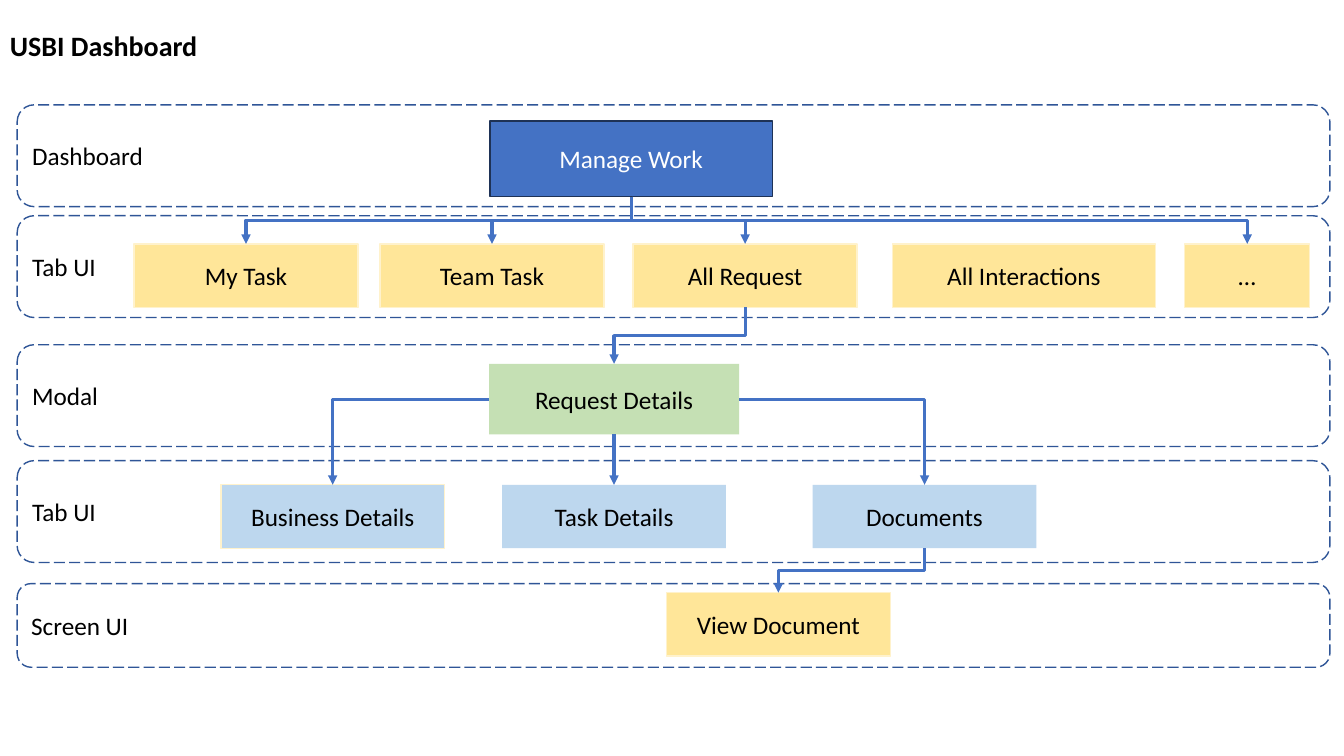
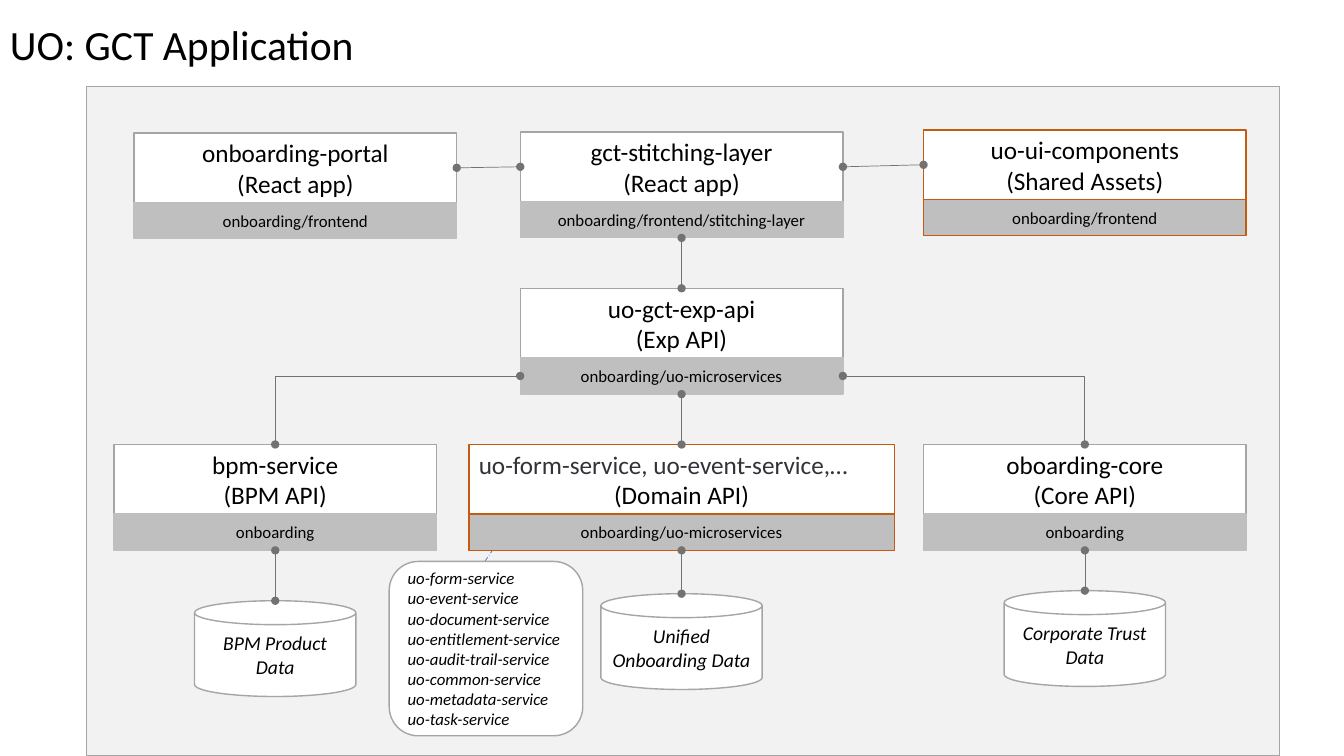
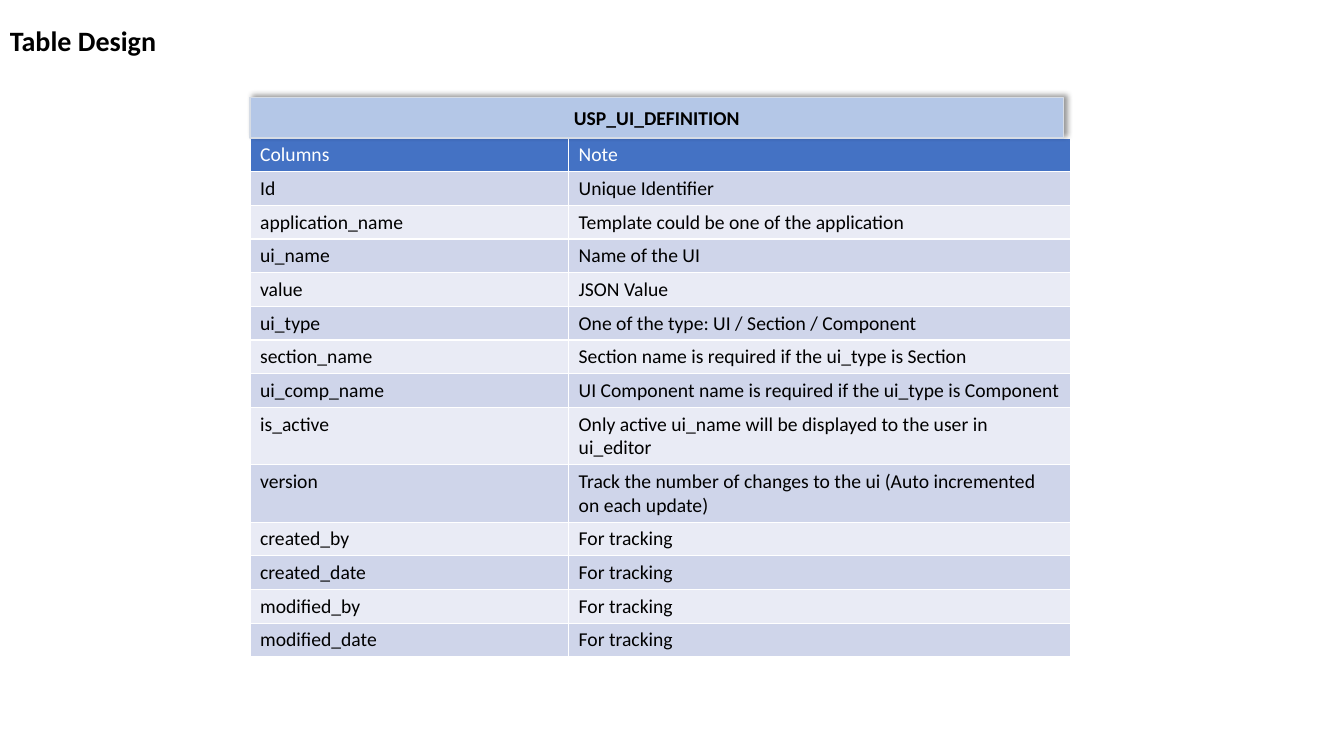
import dataclasses

import lxml.etree
import pptx
import pptx.dml.color
import pptx.enum.dml
import pptx.enum.shapes
import pptx.enum.text
import pptx.oxml.ns
import pptx.util

EMU_PER_PX = 9144
SHAPE = pptx.enum.shapes.MSO_SHAPE
CONNECTOR = pptx.enum.shapes.MSO_CONNECTOR
ALIGN = pptx.enum.text.PP_ALIGN
DASH = pptx.enum.dml.MSO_LINE
TOP, LEFT, BOTTOM, RIGHT = range(4)


@dataclasses.dataclass(frozen=True)
class Theme:
    """Colours and type sizes of the presentation."""
    font: str = "Calibri"
    black: str = "000000"
    white: str = "FFFFFF"
    band_line: str = "2F5597"
    blue: str = "4472C4"
    blue_edge: str = "1E3256"
    yellow: str = "FFE699"
    yellow_edge: str = "FFF2CC"
    green: str = "C5E0B4"
    sky: str = "BDD7EE"
    panel: str = "F2F2F2"
    grey_edge: str = "A5A5A5"
    bar: str = "BFBFBF"
    orange: str = "C55A11"
    wire: str = "767171"
    charcoal: str = "333238"
    caption: str = "B4C7E7"
    caption_edge: str = "D6DCE5"
    odd_row: str = "CFD5EA"
    even_row: str = "E9EBF5"
    large_title: float = 29.7
    title: float = 20
    body: float = 18
    cell: float = 14
    small: float = 12


THEME = Theme()


@dataclasses.dataclass(frozen=True)
class Box:
    """A rectangle in px."""
    left: int
    top: int
    width: int
    height: int

    def inside(self, left, top, width, height):
        """Return a box offset from this one's corner."""
        return Box(self.left + left, self.top + top, width, height)

    def emu(self):
        """Return left, top, width and height in EMU."""
        return [px(value) for value in dataclasses.astuple(self)]


PAGE = Box(0, 0, 1333, 750)


def px(value):
    """Turn px into EMU."""
    return pptx.util.Emu(round(value * EMU_PER_PX))


def rgb(colour):
    """Turn a hex colour into an RGB colour."""
    return pptx.dml.color.RGBColor.from_string(colour)


def xml_child(parent, tag, **attributes):
    """Append a drawing element and return it."""
    return lxml.etree.SubElement(parent, pptx.oxml.ns.qn(tag), attributes)


def style_text(paragraph, size, colour=THEME.black, align=ALIGN.LEFT, bold=False, italic=False):
    """Set the font and alignment of a paragraph."""
    paragraph.alignment = align
    font = paragraph.font
    font.name, font.size = THEME.font, pptx.util.Pt(size)
    font.bold, font.italic = bold, italic
    font.color.rgb = rgb(colour)


def write(frame, lines, size, **style):
    """Write one styled paragraph for each line."""
    frame.word_wrap = True
    for index, line in enumerate(lines):
        paragraph = frame.add_paragraph() if index else frame.paragraphs[0]
        paragraph.text = line
        style_text(paragraph, size, **style)


def draw(slide, box, fill, edge=None, lines=(), size=THEME.body, kind=SHAPE.RECTANGLE,
         dash=None, align=ALIGN.CENTER, **style):
    """Draw a filled shape with its text."""
    shape = slide.shapes.add_shape(kind, *box.emu())
    shape.shadow.inherit = False
    shape.fill.solid()
    shape.fill.fore_color.rgb = rgb(fill)
    if edge:
        shape.line.color.rgb = rgb(edge)
        shape.line.width = pptx.util.Pt(1)
        shape.line.dash_style = dash
    else:
        shape.line.fill.background()
    shape.text_frame.vertical_anchor = pptx.enum.text.MSO_ANCHOR.MIDDLE
    write(shape.text_frame, lines, size, align=align, **style)
    return shape


def add_title(slide, box, text, size=THEME.title, bold=True, spacing=None):
    """Place the slide title."""
    frame = slide.shapes.add_textbox(*box.emu()).text_frame
    write(frame, [text], size, bold=bold)
    frame.paragraphs[0].line_spacing = spacing


def style_line(connector, colour, width, head=None, tail=None):
    """Set the stroke and ends of a connector."""
    connector.line.color.rgb = rgb(colour)
    connector.line.width = pptx.util.Pt(width)
    properties = connector.element.spPr
    stroke = properties.find(pptx.oxml.ns.qn("a:ln"))
    for tag, end in (("a:headEnd", head), ("a:tailEnd", tail)):
        if end:
            xml_child(stroke, tag, type=end)
    xml_child(properties, "a:effectLst")


def turn_upright(connector):
    """Turn an elbow so that it leaves and arrives vertically."""
    dx = connector.end_x - connector.begin_x
    dy = connector.end_y - connector.begin_y
    middle_x = (connector.begin_x + connector.end_x) // 2
    middle_y = (connector.begin_y + connector.end_y) // 2
    connector.width, connector.height = dy, abs(dx)
    connector.left, connector.top = middle_x - dy // 2, middle_y - abs(dx) // 2
    frame = connector.element.spPr.find(pptx.oxml.ns.qn("a:xfrm"))
    frame.set("rot", "16200000" if dx > 0 else "5400000")
    frame.set("flipH", "1" if dx > 0 else "0")


def link(slide, source, source_side, target, target_side, **style):
    """Join two shapes with a straight line, a step or a corner."""
    straight = source.left + source.width // 2 == target.left + target.width // 2
    sideways = source_side in (LEFT, RIGHT)
    corner = sideways and target_side == TOP
    step = not sideways and not straight
    kind = CONNECTOR.ELBOW if corner or step else CONNECTOR.STRAIGHT
    connector = slide.shapes.add_connector(kind, 0, 0, 0, 0)
    connector.begin_connect(source, source_side)
    connector.end_connect(target, target_side)
    if step:
        turn_upright(connector)
    if corner:
        geometry = connector.element.spPr.find(pptx.oxml.ns.qn("a:prstGeom"))
        geometry.set("prst", "bentConnector2")
    style_line(connector, **style)


def draw_level(slide, box, label, nodes):
    """Draw a dashed band with its nodes and return the nodes by name."""
    draw(slide, box, THEME.white, THEME.band_line, [label], kind=SHAPE.ROUNDED_RECTANGLE,
         dash=DASH.LONG_DASH, align=ALIGN.LEFT)
    return {name: draw(slide, box.inside(*place), fill, edge, [name], colour=colour)
            for name, place, fill, edge, colour in nodes}


def tab(name, left, top, width=222, fill=THEME.yellow, edge=THEME.yellow_edge):
    """Describe a tab node of a level."""
    return name, (left, top, width, 63), fill, edge, THEME.black


def dashboard_slide(slide, page):
    """Build the map of the dashboard screens."""
    levels = [
        ("Dashboard", 104, 101,
         [("Manage Work", (469, 16, 280, 75), THEME.blue, THEME.blue_edge, THEME.white)]),
        ("Tab UI", 214, 101,
         [tab("My Task", 116, 28), tab("Team Task", 360, 28), tab("All Request", 611, 28),
          tab("All Interactions", 868, 28, 261), tab("…", 1158, 28, 124)]),
        ("Modal", 342, 101,
         [("Request Details", (468, 19, 248, 70), THEME.green, None, THEME.black)]),
        ("Tab UI", 457, 101,
         [tab("Business Details", 202, 24, fill=THEME.sky),
          tab("Task Details", 481, 24, fill=THEME.sky, edge=None),
          tab("Documents", 789, 24, fill=THEME.sky, edge=None)]),
        ("Screen UI", 579, 83, [tab("View Document", 644, 9)]),
    ]
    nodes = {}
    for label, top, height, members in levels:
        nodes.update(draw_level(slide, page.inside(17, top, 1302, height), label, members))
    routes = [("Manage Work", BOTTOM, name)
              for name in ("My Task", "Team Task", "All Request", "…")]
    routes += [("All Request", BOTTOM, "Request Details"),
               ("Request Details", LEFT, "Business Details"),
               ("Request Details", BOTTOM, "Task Details"),
               ("Request Details", RIGHT, "Documents"),
               ("Documents", BOTTOM, "View Document")]
    for source, side, target in routes:
        link(slide, nodes[source], side, nodes[target], TOP,
             colour=THEME.blue, width=2.25, tail="triangle")
    add_title(slide, page.inside(0, 23, 1333, 44), "USBI Dashboard")


def draw_service(slide, box, lines, folder, shared=False):
    """Draw a service card and return its head and its folder bar."""
    head_height = 69
    head = draw(slide, box.inside(0, 0, box.width, head_height), THEME.white,
                THEME.orange if shared else THEME.grey_edge, lines)
    bar = draw(slide, box.inside(0, head_height, box.width, box.height - head_height),
               THEME.bar, THEME.orange if shared else THEME.bar, [folder], THEME.small)
    return head, bar


def draw_store(slide, box, name):
    """Draw a data store."""
    return draw(slide, box, THEME.white, THEME.grey_edge, [name], THEME.cell,
                kind=SHAPE.CAN, italic=True)


def draw_domain_list(slide, box):
    """Draw the note that lists the domain services."""
    topics = ("form", "event", "document", "entitlement", "audit-trail", "common",
              "metadata", "task")
    draw(slide, box, THEME.white, THEME.grey_edge, [f"uo-{topic}-service" for topic in topics],
         THEME.small, kind=SHAPE.ROUNDED_RECTANGLE, align=ALIGN.LEFT, italic=True)


def application_slide(slide, page):
    """Build the diagram of the application services."""
    add_title(slide, page.inside(0, 27, 1200, 51), "UO: GCT Application",
              THEME.large_title, bold=False, spacing=0.7)
    panel = page.inside(86, 86, 1183, 664)
    draw(slide, panel, THEME.panel, THEME.grey_edge)
    start, end = panel.inside(422, 432, 0, 0), panel.inside(385, 485, 0, 0)
    pointer = slide.shapes.add_connector(CONNECTOR.STRAIGHT, *start.emu()[:2], *end.emu()[:2])
    pointer.line.dash_style = DASH.LONG_DASH_DOT
    style_line(pointer, THEME.blue, 0.5)

    def service(left, top, lines, folder, width=320, shared=False):
        """Place a service card on the panel."""
        return draw_service(slide, panel.inside(left, top, width, 105), lines, folder, shared)

    portal, _ = service(47, 46, ["onboarding-portal", "(React app)"], "onboarding/frontend")
    stitching, stitching_bar = service(430, 45, ["gct-stitching-layer", "(React app)"],
                                       "onboarding/frontend/stitching-layer")
    components, _ = service(830, 43, ["uo-ui-components", "(Shared Assets)"],
                            "onboarding/frontend", shared=True)
    experience, experience_bar = service(430, 200, ["uo-gct-exp-api", "(Exp API)"],
                                         "onboarding/uo-microservices")
    bpm, bpm_bar = service(27, 355, ["bpm-service", "(BPM API)"], "onboarding")
    domain, domain_bar = service(379, 355, ["uo-form-service, uo-event-service,…", "(Domain API)"],
                                 "onboarding/uo-microservices", width=422, shared=True)
    style_text(domain.text_frame.paragraphs[0], THEME.body, THEME.charcoal)
    core, core_bar = service(830, 355, ["oboarding-core", "(Core API)"], "onboarding")

    bpm_data, onboarding_data, trust_data = [
        draw_store(slide, panel.inside(left, top, 160, 95), name)
        for left, top, name in ((107, 510, "BPM Product Data"),
                                (510, 503, "Unified Onboarding Data"),
                                (910, 500, "Corporate Trust Data"))]
    draw_domain_list(slide, panel.inside(300, 471, 192, 173))

    for route in ((portal, RIGHT, stitching, LEFT),
                  (stitching, RIGHT, components, LEFT),
                  (stitching_bar, BOTTOM, experience, TOP),
                  (experience_bar, LEFT, bpm, TOP),
                  (experience_bar, BOTTOM, domain, TOP),
                  (experience_bar, RIGHT, core, TOP),
                  (bpm_bar, BOTTOM, bpm_data, TOP),
                  (domain_bar, BOTTOM, onboarding_data, TOP),
                  (core_bar, BOTTOM, trust_data, TOP)):
        link(slide, *route, colour=THEME.wire, width=0.5, head="oval", tail="oval")


def draw_definition(slide, box, rows):
    """Draw the table of columns and notes."""
    table = slide.shapes.add_table(len(rows), 2, *box.emu()).table
    name_width = 316
    table.columns[0].width = px(name_width)
    table.columns[1].width = px(box.width - name_width)
    for index, row in enumerate(rows):
        table.rows[index].height = px(57 if len(row[1]) > 60 else 33)
        if index == 0:
            fill, colour = THEME.blue, THEME.white
        else:
            fill, colour = (THEME.odd_row if index % 2 else THEME.even_row), THEME.black
        for cell, text in zip(table.rows[index].cells, row):
            cell.fill.solid()
            cell.fill.fore_color.rgb = rgb(fill)
            write(cell.text_frame, [text], THEME.cell, colour=colour)


def draw_caption(slide, box, text):
    """Draw the shaded name above the table."""
    caption = draw(slide, box, THEME.caption, THEME.caption_edge, [text], THEME.cell, bold=True)
    effects = caption.element.spPr.find(pptx.oxml.ns.qn("a:effectLst"))
    shadow = xml_child(effects, "a:outerShdw", blurRad="50800", dist="38100",
                       dir="18900000", algn="bl", rotWithShape="0")
    xml_child(xml_child(shadow, "a:srgbClr", val=THEME.black), "a:alpha", val="40000")


def table_slide(slide, page):
    """Build the table design."""
    rows = [
        ("Columns", "Note"),
        ("Id", "Unique Identifier"),
        ("application_name", "Template could be one of the application"),
        ("ui_name", "Name of the UI"),
        ("value", "JSON Value"),
        ("ui_type", "One of the type: UI / Section / Component"),
        ("section_name", "Section name is required if the ui_type is Section"),
        ("ui_comp_name", "UI Component name is required if the ui_type is Component"),
        ("is_active", "Only active ui_name will be displayed to the user in ui_editor"),
        ("version", "Track the number of changes to the ui (Auto incremented on each update)"),
    ]
    rows += [(name, "For tracking")
             for name in ("created_by", "created_date", "modified_by", "modified_date")]
    add_title(slide, page.inside(0, 18, 1333, 44), "Table Design")
    draw_definition(slide, page.inside(248, 137, 814, 514), rows)
    draw_caption(slide, page.inside(248, 97, 807, 40), "USP_UI_DEFINITION")


def main():
    """Build and save the presentation."""
    presentation = pptx.Presentation()
    presentation.slide_width, presentation.slide_height = px(PAGE.width), px(PAGE.height)
    blank = presentation.slide_layouts[6]
    for build in (dashboard_slide, application_slide, table_slide):
        build(presentation.slides.add_slide(blank), PAGE)
    presentation.save("out.pptx")


if __name__ == "__main__":
    main()
